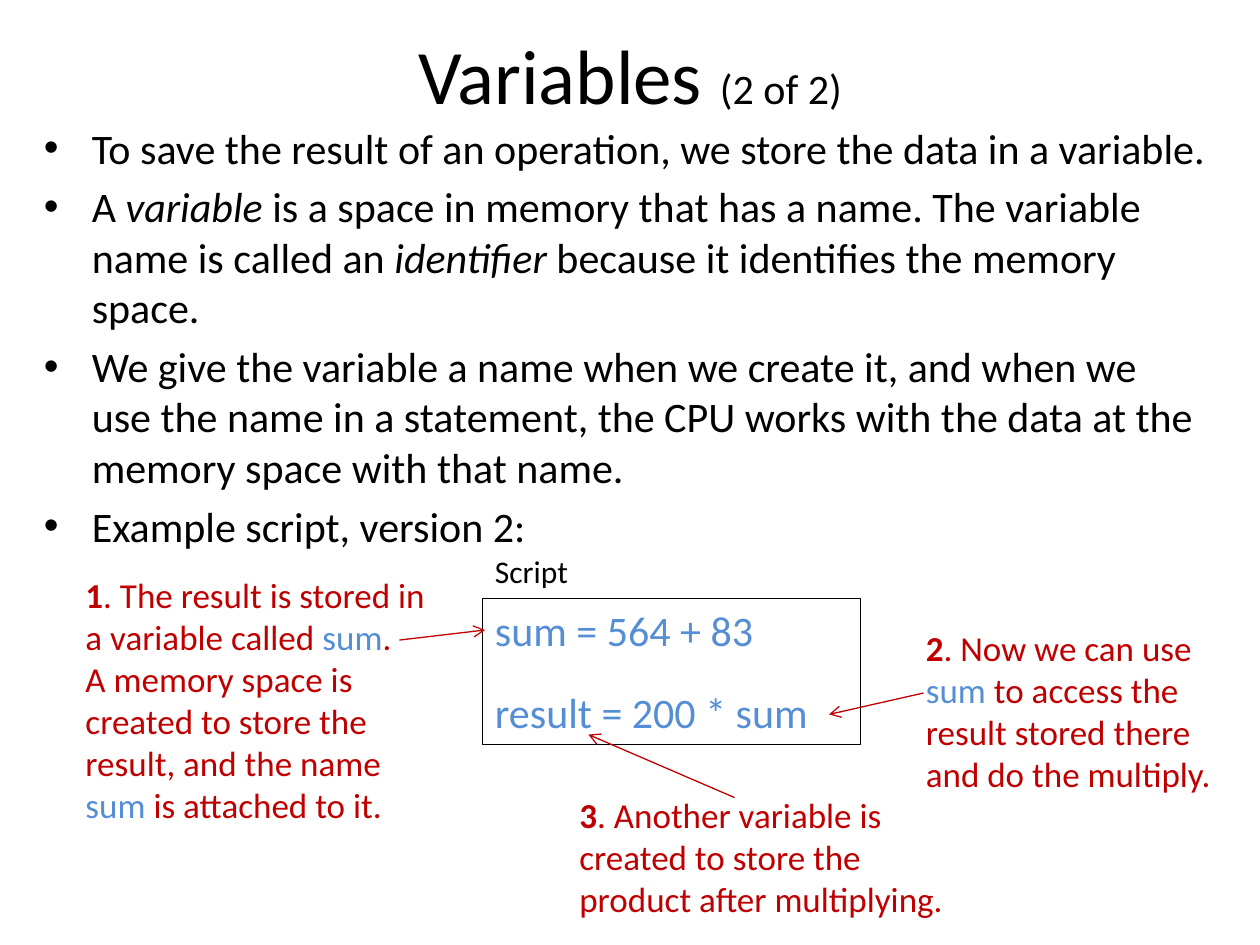
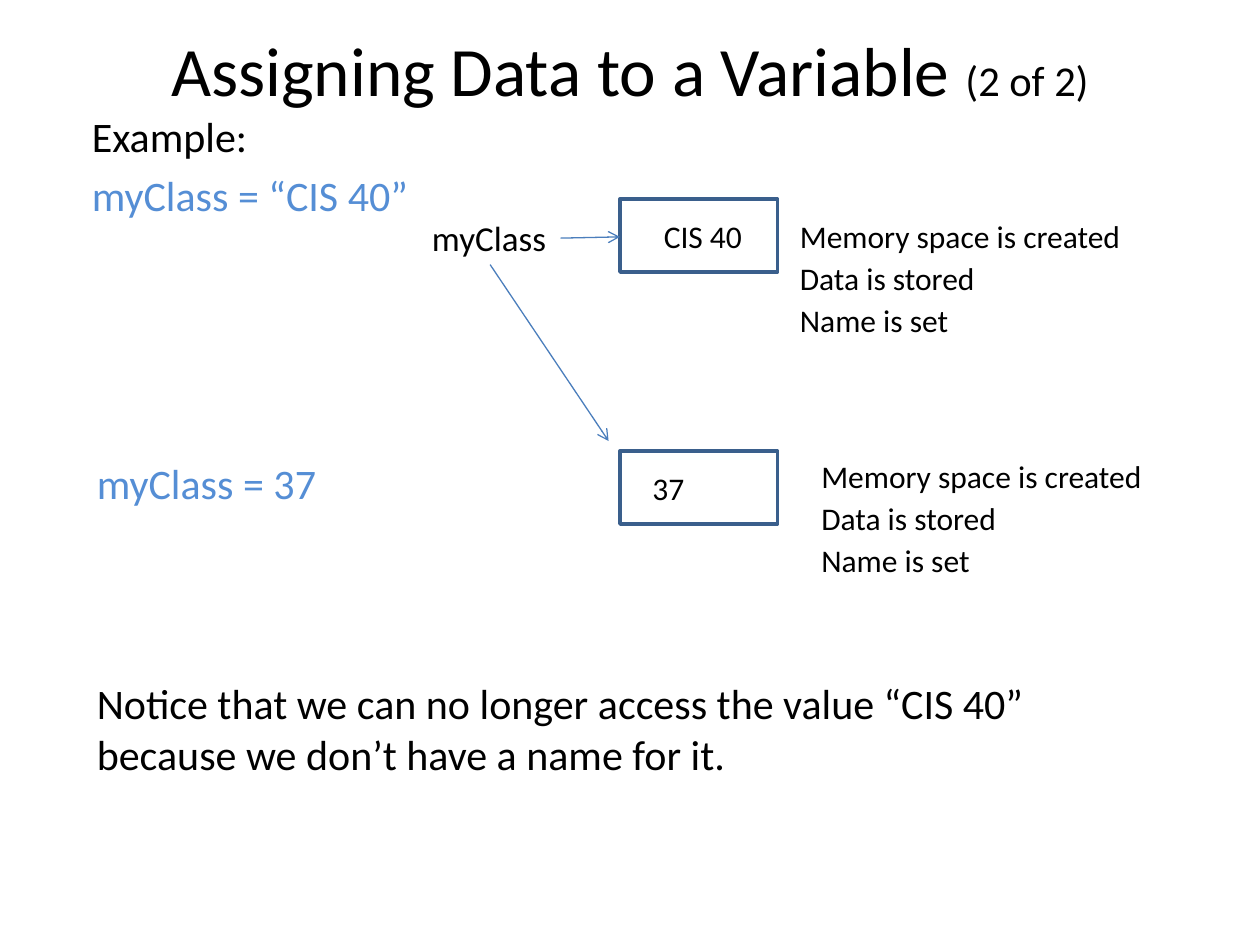
from dataclasses import dataclass
from lxml import etree
from pptx import Presentation
from pptx.dml.color import RGBColor
from pptx.enum.shapes import MSO_CONNECTOR, MSO_SHAPE
from pptx.enum.text import MSO_ANCHOR, PP_ALIGN
from pptx.oxml.ns import qn
from pptx.util import Inches, Pt

RECT = MSO_SHAPE.RECTANGLE
STRAIGHT = MSO_CONNECTOR.STRAIGHT
LEFT, CENTER = PP_ALIGN.LEFT, PP_ALIGN.CENTER
TOP, MIDDLE = MSO_ANCHOR.TOP, MSO_ANCHOR.MIDDLE


@dataclass(frozen=True)
class Theme:
    """Fonts, colours and type sizes of the deck."""
    font: str = "Calibri"
    ink: str = "000000"
    code: str = "558ED5"
    callout: str = "C00000"
    cell: str = "3A5F8C"
    arrow: str = "4B7EBC"
    body: float = 24
    note: float = 20
    label: float = 18
    thin: float = 0.75
    thick: float = 2
    gap: float = 4.8


T = Theme()


def rgb(color):
    """Turn a hex string into a colour."""
    return RGBColor.from_string(color)


def add_run(p, text, size, color=T.ink, bold=False, italic=False):
    """Add one formatted run to a paragraph."""
    r = p.add_run()
    r.text = text
    f = r.font
    f.name, f.size, f.bold, f.italic = T.font, Pt(size), bold, italic
    f.color.rgb = rgb(color)


def fill_text(tf, paras, size):
    """Write paragraphs, each a list of (text, format) runs."""
    for i, runs in enumerate(paras):
        p = tf.paragraphs[0] if i == 0 else tf.add_paragraph()
        p.alignment = LEFT
        for text, style in runs:
            add_run(p, text, size, **style)


def add_text(s, box, paras, size, wrap=True):
    """Add a text box and return its text frame."""
    tf = s.shapes.add_textbox(*map(Inches, box)).text_frame
    tf.word_wrap = wrap
    fill_text(tf, paras, size)
    return tf


def add_label(s, box, text, size=T.label, color=T.ink):
    """Add a single unwrapped line of text."""
    add_text(s, box, [[(text, {"color": color})]], size, wrap=False)


def add_box(s, box, color, width):
    """Add an unfilled rectangle."""
    sp = s.shapes.add_shape(RECT, *map(Inches, box))
    sp.shadow.inherit = False
    sp.fill.background()
    sp.line.color.rgb = rgb(color)
    sp.line.width = Pt(width)
    return sp


def add_arrow(s, start, end, color):
    """Add a thin line with an open arrowhead at its end."""
    c = s.shapes.add_connector(STRAIGHT, *map(Inches, start + end))
    c.line.color.rgb = rgb(color)
    c.line.width = Pt(T.thin)
    etree.SubElement(c.line._get_or_add_ln(), qn("a:tailEnd"), type="arrow")
    etree.SubElement(c._element.spPr, qn("a:effectLst"))


def add_slide(prs, title, height, sizes):
    """Add a title-only slide with a large title and a small part number."""
    s = prs.slides.add_slide(prs.slide_layouts[5])
    sp = s.shapes.title
    sp.left, sp.top, sp.width, sp.height = map(Inches, (0.5, 0.17, 9, height))
    sp.text_frame.vertical_anchor = MIDDLE
    p = sp.text_frame.paragraphs[0]
    p.alignment = CENTER
    for text, size in zip((title + " ", "(2 of 2)"), sizes):
        add_run(p, text, size)
    return s


def add_body(s, box, paras, bullets):
    """Add the body text with a hanging indent and optional bullets."""
    tf = add_text(s, box, paras, T.body)
    for p in tf.paragraphs:
        p.space_before = Pt(T.gap)
        pPr = p._p.get_or_add_pPr()
        pPr.set("marL", str(Inches(0.38)))
        if bullets:
            pPr.set("indent", str(-Inches(0.38)))
            etree.SubElement(pPr, qn("a:buFont"), typeface="Arial")
            etree.SubElement(pPr, qn("a:buChar"), char="•")


def add_callout(s, box, number, paras):
    """Add a red numbered remark; (text, is_code) pairs make its runs."""
    red, blue = {"color": T.callout}, {"color": T.code}
    rows = [[(t, blue if code else red) for t, code in row] for row in paras]
    rows[0].insert(0, (number, {"color": T.callout, "bold": True}))
    add_text(s, box, rows, T.note)


def add_script(s, x, y):
    """Add the labelled box of script lines."""
    sp = add_box(s, (x, y + 0.42, 3, 1.16), T.ink, T.thin)
    tf = sp.text_frame
    tf.word_wrap, tf.vertical_anchor = True, TOP
    code = {"color": T.code}
    fill_text(tf, [[("sum = 564 + 83", code)], [("result = 200 * sum", code)]], T.body)
    for p in tf.paragraphs:
        p.space_before = Pt(6)
    tf.paragraphs[0].space_after = Pt(12)
    add_label(s, (x, y, 1.05, 0.4), "Script")


def add_memory(s, x, y, value, value_box, notes_at):
    """Add a memory cell, its value and the steps that fill it."""
    dx, width = value_box
    add_label(s, (x + dx, y + 0.09, width, 0.4), value)
    add_box(s, (x, y, 1.25, 0.58), T.cell, T.thick)
    notes = (("Memory space is created", 2.77), ("Data is stored", 1.6), ("Name is set", 1.39))
    nx, ny = notes_at
    for i, (text, w) in enumerate(notes):
        add_label(s, (x + nx, y + ny + i / 3, w, 0.4), text)


def variables_slide(prs):
    """Build the slide on what a variable is."""
    s = add_slide(prs, "Variables", 0.83, (44, 24))
    plain, it = {}, {"italic": True}
    add_body(s, (0.25, 0.92, 9.42, 6.25), [
        [("To save the result of an operation, we store the data in a variable.", plain)],
        [("A ", plain), ("variable", it),
         (" is a space in memory that has a name. The variable name is called an ", plain),
         ("identifier", it), (" because it identifies the memory space.", plain)],
        [("We give the variable a name when we create it, and when we use the name in a "
          "statement, the CPU works with the data at the memory space with that name.", plain)],
        [("Example script, version 2:", plain)],
    ], bullets=True)
    add_script(s, 3.83, 4.33)
    add_callout(s, (7.25, 4.92, 2.5, 1.45), "2", [
        [(". Now we can use ", False), ("sum", True),
         (" to access the result stored there and do the multiply.", False)]])
    add_callout(s, (4.5, 6.25, 3.33, 1.11), "3", [
        [(". Another variable is created to store the product after multiplying.", False)]])
    add_callout(s, (0.58, 4.5, 3.08, 2.12), "1", [
        [(". The result is stored in a variable called ", False), ("sum", True), (".", False)],
        [("A memory space is created to store the result, and the name ", False),
         ("sum", True), (" is attached to it.", False)]])
    for start, end in (((3.17, 5.08), (3.85, 5)), ((7.33, 5.5), (6.58, 5.67)),
                       ((5.83, 6.33), (4.67, 5.83))):
        add_arrow(s, start, end, T.callout)


def assigning_slide(prs):
    """Build the slide on assigning data to a variable."""
    s = add_slide(prs, "Assigning Data to a Variable", 0.75, (39.6, 24.3))
    code = {"color": T.code}
    add_body(s, (0.25, 0.83, 9.42, 6.33), [
        [("Example:", {})], [("myClass = “CIS 40”", code)]], bullets=False)
    add_memory(s, 4.92, 1.58, "CIS 40", (0.25, 0.83), (1.33, 0.09))
    add_label(s, (3.33, 1.67, 1.12, 0.44), "myClass", T.note)
    add_arrow(s, (4.45, 1.89), (4.92, 1.88), T.arrow)
    add_memory(s, 4.92, 3.58, "37", (0.16, 0.46), (1.5, 0))
    add_text(s, (0.67, 3.58, 2.03, 0.81), [[("myClass = 37", code)]], T.body)
    add_arrow(s, (3.89, 2.1), (4.83, 3.5), T.arrow)
    add_text(s, (0.67, 5.33, 7.7, 0.91), [
        [("Notice that we can no longer access the value “CIS 40”", {})],
        [("because we don’t have a name for it.", {})]], T.body)


def main():
    """Build and save the deck."""
    prs = Presentation()
    prs.slide_width, prs.slide_height = Inches(10), Inches(7.5)
    variables_slide(prs)
    assigning_slide(prs)
    prs.save("out.pptx")


main()
